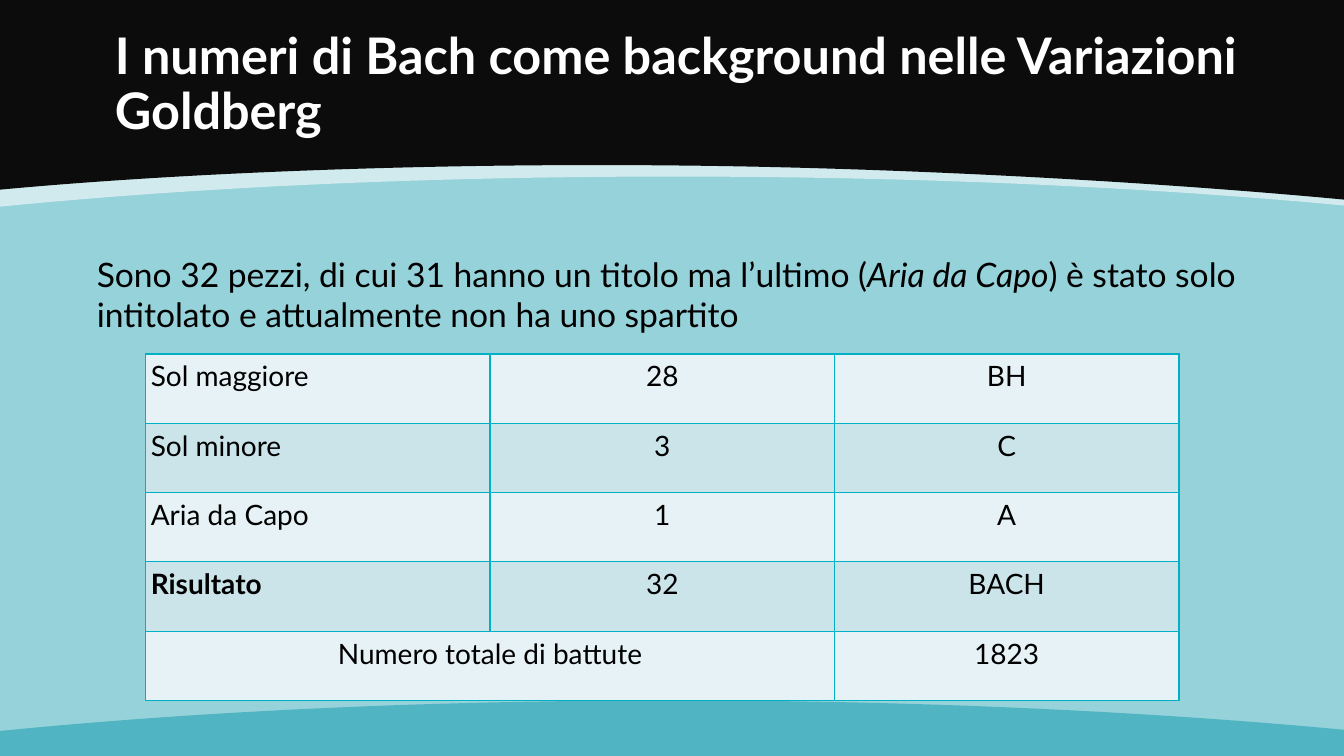
"""Build the slide on Bach's numbers in the Goldberg Variations."""
from lxml.etree import SubElement
from pptx import Presentation
from pptx.dml.color import RGBColor
from pptx.enum.text import MSO_ANCHOR as ANCHOR, PP_ALIGN as ALIGN
from pptx.oxml import parse_xml
from pptx.oxml.ns import nsdecls, qn
from pptx.util import Cm, Pt

COLORS = {"bg": "96D2DA", "rim": "E9F5F7", "header": "0C0C0C", "footer": "51B4C2",
          "title": "FFFFFF", "text": "000000", "border": "00B1C5",
          "light": "E6F2F5", "dark": "CAE4EA"}
W, H = 33.87, 19.05
FONT = "Lato"


def rgb(name):
    return RGBColor.from_string(COLORS[name])


def style(p, size, color):
    p.font.name, p.font.size = FONT, Pt(size)
    p.font.color.rgb = rgb(color)


prs = Presentation()
prs.slide_width, prs.slide_height = Cm(W), Cm(H)
s = prs.slides.add_slide(prs.slide_layouts[5])
s.background.fill.solid()
s.background.fill.fore_color.rgb = rgb("bg")

bands = [
    ("rim", 0, 70, [(W, 5.18), (28.96, 4.72), (23.16, 4.45), (16.97, 4.45),
                    (10.74, 4.45), (4.93, 4.72), (0, 5.21)]),
    ("header", 0, 100, [(W, 5.03), (28.96, 4.57), (22.58, 4.22), (16.97, 4.17),
                        (11.3, 4.11), (4.93, 4.32), (0, 4.78)]),
    ("footer", H, 100, [(W, 18.39), (28.96, 17.93), (23.16, 17.65), (16.97, 17.65),
                        (10.74, 17.65), (4.93, 17.93), (0, 18.42)]),
]
for color, edge, opacity, curve in bands:
    builder = s.shapes.build_freeform(Cm(0), Cm(edge))
    builder.add_line_segments([(Cm(x), Cm(y)) for x, y in [(W, edge), *curve]])
    band = builder.convert_to_shape()
    lines = list(band._element.iter(qn("a:lnTo")))[2:]
    for first in (0, 3):
        bezier = parse_xml(f'<a:cubicBezTo {nsdecls("a")}/>')
        lines[first].addprevious(bezier)
        for line in lines[first:first + 3]:
            bezier.append(line[0])
            line.getparent().remove(line)
    band.shadow.inherit = False
    band.line.fill.background()
    band.fill.solid()
    band.fill.fore_color.rgb = rgb(color)
    if opacity < 100:
        clr = band.fill._xPr.find(qn("a:solidFill"))[0]
        SubElement(clr, qn("a:alpha"), val=str(opacity * 1000))

title = s.shapes.title
s.shapes._spTree.append(title._element)
title.left, title.top, title.width, title.height = Cm(2.64), Cm(0.48), Cm(30.5), Cm(3.35)
tf = title.text_frame
tf.word_wrap = True
tf.vertical_anchor = ANCHOR.MIDDLE
p = tf.paragraphs[0]
p.text = "I numeri di Bach come background nelle Variazioni Goldberg"
p.alignment, p.line_spacing = ALIGN.LEFT, 0.9
style(p, 36, "title")
p.font.bold = True

intro = s.shapes.add_textbox(Cm(2.19), Cm(5.9), Cm(29.49), Cm(3.02))
tf = intro.text_frame
tf.word_wrap = True
tf.vertical_anchor = ANCHOR.MIDDLE
p = tf.paragraphs[0]
style(p, 24, "text")
p.add_run().text = "Sono 32 pezzi, di cui 31 hanno un titolo ma l’ultimo ("
r = p.add_run()
r.text = "Aria da Capo"
r.font.italic = True
p.add_run().text = ") è stato solo intitolato e attualmente non ha uno spartito"

rows = [("Sol maggiore", "28", "BH"),
        ("Sol minore", "3", "C"),
        ("Aria da Capo", "1", "A"),
        ("Risultato", "32", "BACH"),
        ("Numero totale di battute", "", "1823")]
frame = s.shapes.add_table(5, 3, Cm(3.67), Cm(8.92), Cm(26.04), Cm(8.73))
table = frame.table
table.first_row = table.horz_banding = False
for i, values in enumerate(rows):
    for j, value in enumerate(values):
        cell = table.cell(i, j)
        cell.margin_left = cell.margin_right = Cm(0.13)
        cell.margin_top = cell.margin_bottom = Cm(0.13)
        cell.fill.solid()
        cell.fill.fore_color.rgb = rgb("dark" if i % 2 else "light")
        p = cell.text_frame.paragraphs[0]
        p.text = value
        p.alignment = ALIGN.LEFT if j == 0 and i < 4 else ALIGN.CENTER
        style(p, 20, "text")
        p.font.bold = value == "Risultato"
        tc_pr = cell._tc.get_or_add_tcPr()
        for n, side in enumerate("LRTB"):
            tc_pr.insert(n, parse_xml(
                f'<a:ln{side} {nsdecls("a")} w="12700"><a:solidFill>'
                f'<a:srgbClr val="{COLORS["border"]}"/></a:solidFill></a:ln{side}>'))
table.cell(4, 0).merge(table.cell(4, 1))

prs.save("out.pptx")
